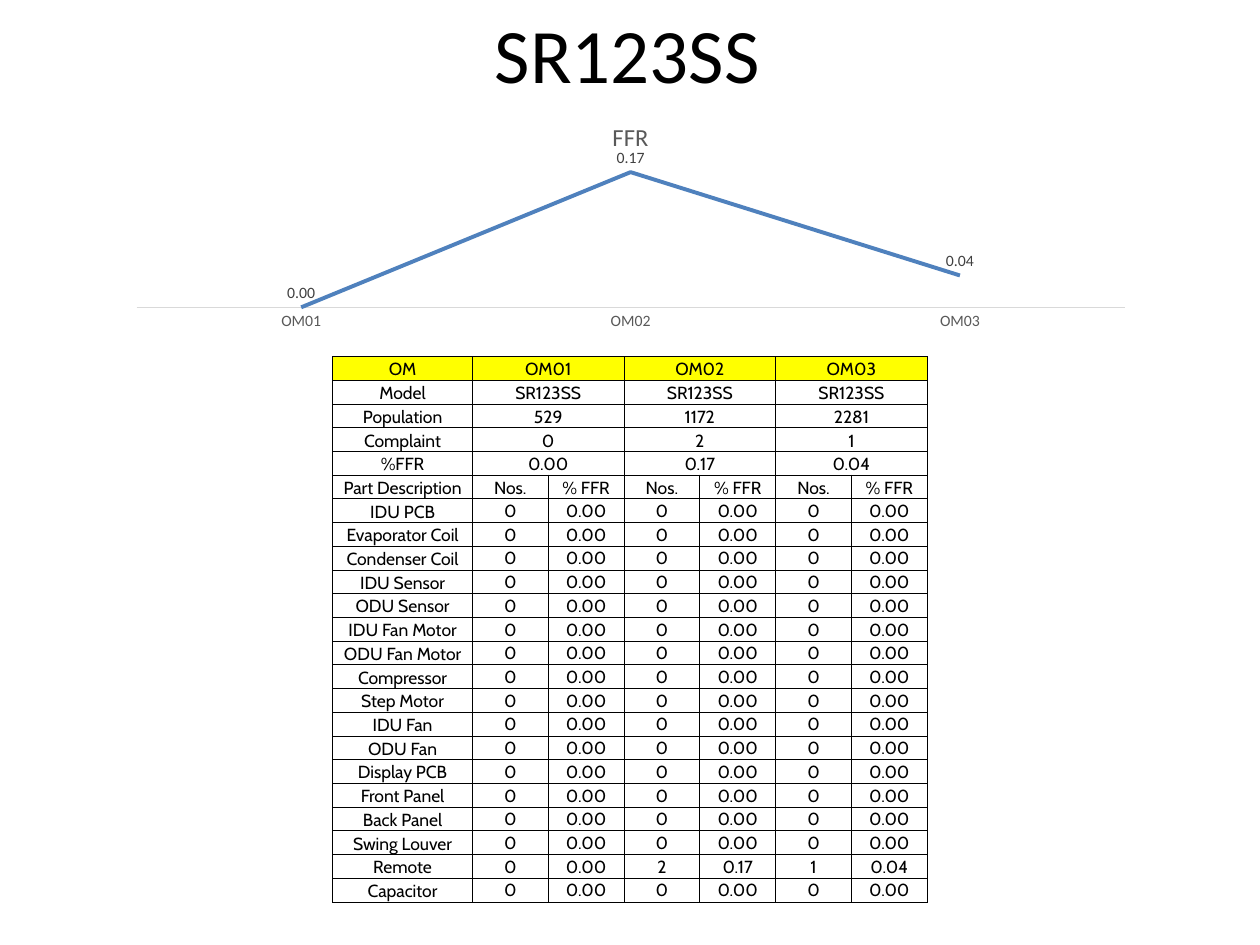
import dataclasses

import pptx
import pptx.chart.data
import pptx.dml.color
import pptx.enum.chart
import pptx.enum.text
import pptx.oxml
import pptx.oxml.ns
import pptx.util


@dataclasses.dataclass(frozen=True)
class Theme:
    """Colours, fonts and type sizes of the slide."""
    ink: str = "000000"
    header: str = "FFFF00"
    series: str = "4F81BD"
    axis_line: str = "D9D9D9"
    axis_text: str = "595959"
    label_text: str = "404040"
    main_font: str = "Calibri"
    table_font: str = "Cabin"
    title_size: float = 44
    chart_title_size: float = 14
    body_size: float = 10
    small_size: float = 9
    series_width: float = 2.25
    axis_width: float = 0.75
    border_width: float = 0.5


THEME = Theme()
MODEL = "SR123SS"
PERIODS = ["OM01", "OM02", "OM03"]
RATES = [0, 0.17, 0.04]
RATE_FORMAT = "0.00"
RATE_TEXTS = [f"{rate:.2f}" for rate in RATES]
SUMMARY = [
    ["OM", *PERIODS],
    ["Model", *[MODEL] * len(PERIODS)],
    ["Population", "529", "1172", "2281"],
    ["Complaint", "0", "2", "1"],
    ["%FFR", *RATE_TEXTS],
]
PARTS = [
    "IDU PCB", "Evaporator Coil", "Condenser Coil", "IDU Sensor", "ODU Sensor",
    "IDU Fan Motor", "ODU Fan Motor", "Compressor", "Step Motor", "IDU Fan",
    "ODU Fan", "Display PCB", "Front Panel", "Back Panel", "Swing Louver",
    "Remote", "Capacitor",
]
NO_FAULTS = ["0", "0.00"] * len(PERIODS)
FAULTS = {"Remote": ["0", "0.00", "2", "0.17", "1", "0.04"]}


def color(code):
    """Turn a hex code into a colour."""
    return pptx.dml.color.RGBColor.from_string(code)


def style_font(font, name, size, code):
    """Give a font its face, size and colour."""
    font.name = name
    font.size = pptx.util.Pt(size)
    font.bold = False
    font.color.rgb = color(code)


def share_box(deck, left, top, width, height):
    """Turn shares of the slide into a box of lengths."""
    return (int(deck.slide_width * left), int(deck.slide_height * top),
            int(deck.slide_width * width), int(deck.slide_height * height))


def place_title(page, box):
    """Place the slide title in its box."""
    title = page.shapes.title
    title.left, title.top, title.width, title.height = box
    frame = title.text_frame
    frame.text = MODEL
    frame.vertical_anchor = pptx.enum.text.MSO_ANCHOR.MIDDLE
    para = frame.paragraphs[0]
    para.alignment = pptx.enum.text.PP_ALIGN.CENTER
    style_font(para.runs[0].font, THEME.main_font, THEME.title_size, THEME.ink)


def set_plot_area(chart, **shares):
    """Fix the inner plot area as shares of the chart."""
    places = "".join(f'<c:{name} val="{share}"/>' for name, share in shares.items())
    layout = pptx.oxml.parse_xml(
        f'<c:layout {pptx.oxml.ns.nsdecls("c")}><c:manualLayout>'
        '<c:layoutTarget val="inner"/><c:xMode val="edge"/><c:yMode val="edge"/>'
        f'{places}</c:manualLayout></c:layout>')
    plot_area = chart.element.chart.plotArea
    for old in plot_area.findall(pptx.oxml.ns.qn("c:layout")):
        plot_area.remove(old)
    plot_area.insert(0, layout)


def place_rate_chart(page, box):
    """Place the line chart of failure rates in its box."""
    data = pptx.chart.data.CategoryChartData(number_format=RATE_FORMAT)
    data.categories = PERIODS
    data.add_series("Series 1", RATES)
    chart = page.shapes.add_chart(pptx.enum.chart.XL_CHART_TYPE.LINE, *box, data).chart
    style_font(chart.font, THEME.main_font, THEME.body_size, THEME.ink)
    chart.has_legend = False
    chart.has_title = True
    chart.chart_title.include_in_layout = False
    frame = chart.chart_title.text_frame
    frame.text = "FFR"
    style_font(frame.paragraphs[0].runs[0].font, THEME.main_font,
               THEME.chart_title_size, THEME.axis_text)
    set_plot_area(chart, x=0.02, y=0.19, w=0.96, h=0.69)

    rates = chart.value_axis
    rates.minimum_scale, rates.maximum_scale = 0, 0.2
    rates.has_major_gridlines = False
    rates.visible = False
    periods = chart.category_axis
    periods.major_tick_mark = pptx.enum.chart.XL_TICK_MARK.NONE
    periods.format.line.color.rgb = color(THEME.axis_line)
    periods.format.line.width = pptx.util.Pt(THEME.axis_width)
    style_font(periods.tick_labels.font, THEME.main_font, THEME.small_size, THEME.axis_text)

    plot = chart.plots[0]
    plot.vary_by_categories = False
    series = plot.series[0]
    series.smooth = False
    series.marker.style = pptx.enum.chart.XL_MARKER_STYLE.NONE
    series.format.line.color.rgb = color(THEME.series)
    series.format.line.width = pptx.util.Pt(THEME.series_width)
    labels = series.data_labels
    labels.show_value = True
    labels.position = pptx.enum.chart.XL_LABEL_POSITION.ABOVE
    labels.number_format = RATE_FORMAT
    labels.number_format_is_linked = False
    style_font(labels.font, THEME.main_font, THEME.small_size, THEME.label_text)


def format_cell(cell, fill_code, anchor):
    """Give a table cell its borders, fill, margins and alignment."""
    properties = cell._tc.get_or_add_tcPr()
    width = pptx.util.Pt(THEME.border_width)
    for side in ("lnL", "lnR", "lnT", "lnB"):
        properties.append(pptx.oxml.parse_xml(
            f'<a:{side} {pptx.oxml.ns.nsdecls("a")} w="{width}"><a:solidFill>'
            f'<a:srgbClr val="{THEME.ink}"/></a:solidFill></a:{side}>'))
    if fill_code:
        cell.fill.solid()
        cell.fill.fore_color.rgb = color(fill_code)
    else:
        cell.fill.background()
    cell.margin_left = cell.margin_right = cell.margin_top = pptx.util.Inches(0.01)
    cell.margin_bottom = 0
    cell.vertical_anchor = anchor
    para = cell.text_frame.paragraphs[0]
    para.alignment = pptx.enum.text.PP_ALIGN.CENTER
    style_font(para.font, THEME.table_font, THEME.body_size, THEME.ink)
    for span in para.runs:
        style_font(span.font, THEME.table_font, THEME.body_size, THEME.ink)


def place_part_table(page, box):
    """Place the table of complaints by part in its box."""
    heading = ["Part Description", *["Nos.", "% FFR"] * len(PERIODS)]
    details = [heading] + [[part, *FAULTS.get(part, NO_FAULTS)] for part in PARTS]
    summary = [[name] + [text for value in values for text in (value, "")]
               for name, *values in SUMMARY]
    rows = summary + details
    table = page.shapes.add_table(len(rows), len(heading), *box).table
    table.first_row = table.horz_banding = False
    name_width = int(box[2] * 0.235)
    for index, column in enumerate(table.columns):
        column.width = (box[2] - name_width) // (len(heading) - 1) if index else name_width
    for row_index, texts in enumerate(rows):
        table.rows[row_index].height = box[3] // len(rows)
        for column_index, text in enumerate(texts):
            cell = table.cell(row_index, column_index)
            cell.text = text
            is_count = row_index > len(summary) and column_index > 0
            format_cell(cell, None if row_index else THEME.header,
                        pptx.enum.text.MSO_ANCHOR.MIDDLE if is_count
                        else pptx.enum.text.MSO_ANCHOR.BOTTOM)
        if row_index < len(summary):
            for start in range(1, len(heading), 2):
                table.cell(row_index, start).merge(table.cell(row_index, start + 1))


def main():
    """Build the slide and save it."""
    deck = pptx.Presentation()
    deck.slide_width, deck.slide_height = pptx.util.Inches(10), pptx.util.Inches(7.5)
    page = deck.slides.add_slide(deck.slide_layouts.get_by_name("Title Only"))
    place_title(page, share_box(deck, 0.048, 0.17 / 7.5, 0.9, 0.5 / 7.5))
    place_part_table(page, share_box(deck, 0.264, 2.83 / 7.5, 0.472, 4.33 / 7.5))
    place_rate_chart(page, share_box(deck, 0.092, 0.83 / 7.5, 0.817, 1.83 / 7.5))
    deck.save("out.pptx")


if __name__ == "__main__":
    main()
